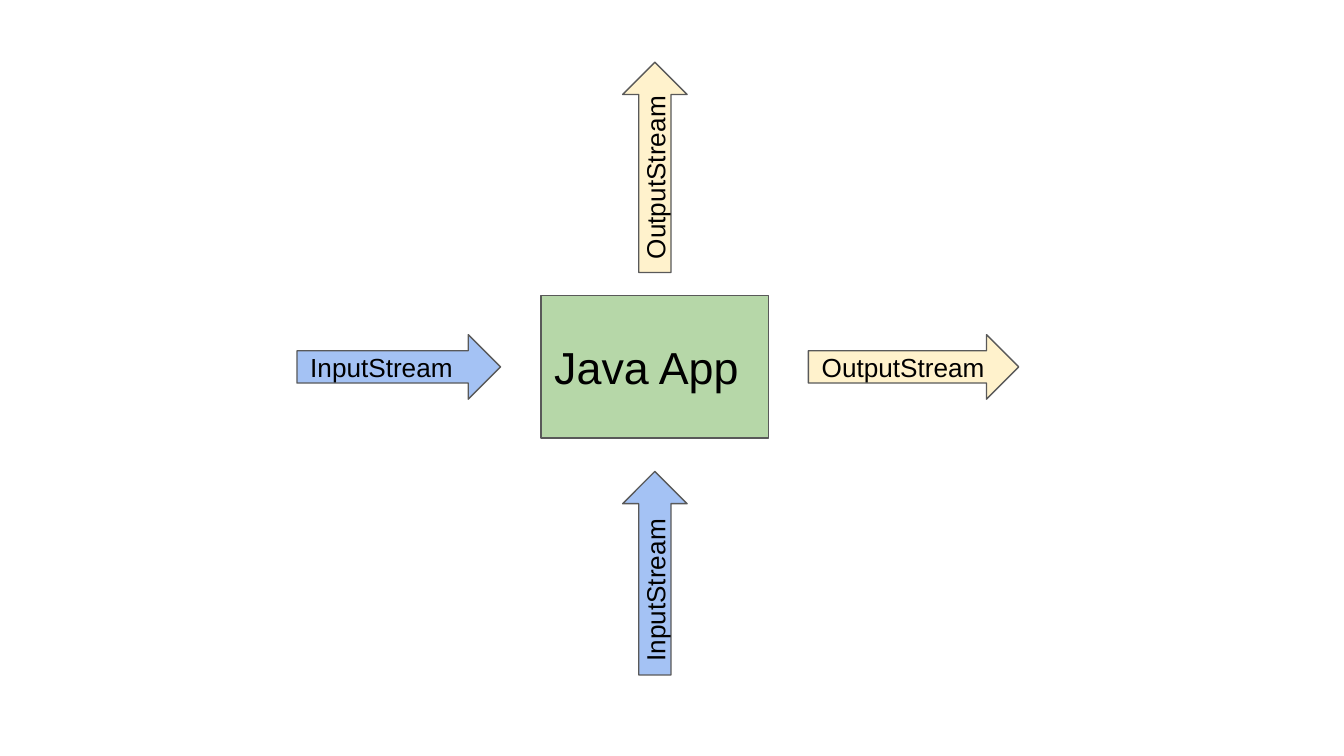
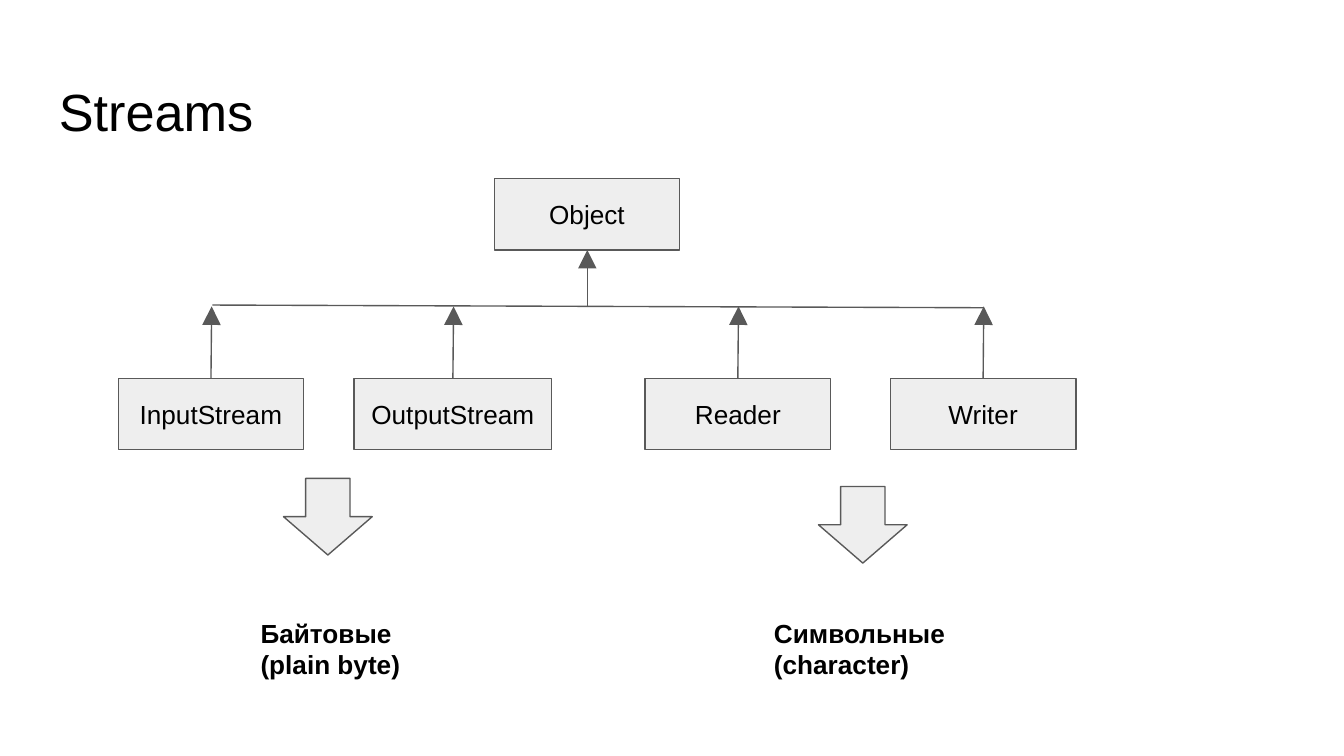
from dataclasses import dataclass

from lxml.etree import SubElement
from pptx import Presentation
from pptx.dml.color import RGBColor
from pptx.enum.shapes import MSO_CONNECTOR, MSO_SHAPE
from pptx.enum.text import MSO_ANCHOR, PP_ALIGN
from pptx.oxml.ns import qn
from pptx.util import Emu, Pt

PX = 4572  # 200 px to the inch


@dataclass(frozen=True)
class Theme:
    font: str = "Arial"
    text: str = "000000"
    outline: str = "595959"
    app: str = "B6D7A8"
    input: str = "A4C2F4"
    output: str = "FFF2CC"
    neutral: str = "EEEEEE"
    title_size: int = 28
    app_size: int = 24
    body_size: int = 14
    line_width: float = 0.75
    inset: int = 20


theme = Theme()


def write_text(shape, text, size=theme.body_size, bold=False,
               align=PP_ALIGN.LEFT, anchor=MSO_ANCHOR.MIDDLE):
    """Fill a shape with text, one paragraph for each line."""
    frame = shape.text_frame
    frame.word_wrap = True
    frame.vertical_anchor = anchor
    frame.margin_left = frame.margin_right = Emu(theme.inset * PX)
    frame.margin_top = frame.margin_bottom = Emu(theme.inset * PX)
    frame.text = text
    for paragraph in frame.paragraphs:
        paragraph.alignment = align
        for run in paragraph.runs:
            run.font.name = theme.font
            run.font.size = Pt(size)
            run.font.bold = bold
            run.font.color.rgb = RGBColor.from_string(theme.text)


def add_block(slide, kind, left, top, width, height, fill):
    """Add a filled, outlined preset shape."""
    shape = slide.shapes.add_shape(
        kind, *(Emu(value * PX) for value in (left, top, width, height)))
    shape.shadow.inherit = False
    shape.fill.solid()
    shape.fill.fore_color.rgb = RGBColor.from_string(fill)
    shape.line.color.rgb = RGBColor.from_string(theme.outline)
    shape.line.width = Pt(theme.line_width)
    return shape


presentation = Presentation()
presentation.slide_width = Emu(2000 * PX)
presentation.slide_height = Emu(1125 * PX)
blank_layout = presentation.slide_layouts[6]

# Slide 1: the application and its streams
slide = presentation.slides.add_slide(blank_layout)
app = add_block(slide, MSO_SHAPE.RECTANGLE, 805, 440, 339, 212, theme.app)
write_text(app, "Java App", size=theme.app_size)

for label, left, top, width, rotation, fill in (
    ("InputStream", 442, 498, 303, 0, theme.input),
    ("OutputStream", 1203, 498, 313, 0, theme.output),
    ("InputStream", 823, 805, 303, 270, theme.input),
    ("OutputStream", 818, 201, 313, 270, theme.output),
):
    arrow = add_block(slide, MSO_SHAPE.RIGHT_ARROW, left, top, width, 96, fill)
    arrow.rotation = rotation
    write_text(arrow, label)

# Slide 2: title
slide = presentation.slides.add_slide(blank_layout)
title = slide.shapes.add_textbox(
    Emu(68 * PX), Emu(98 * PX), Emu(1864 * PX), Emu(126 * PX))
write_text(title, "Streams", size=theme.title_size, anchor=MSO_ANCHOR.TOP)

# Class boxes
box_height = 106
parent_top, child_top = 266, 563
children = (
    ("InputStream", 176, 276),
    ("OutputStream", 527, 294),
    ("Reader", 960, 276),
    ("Writer", 1325, 276),
)
boxes = [("Object", 736, 275, parent_top)]
boxes += [(*child, child_top) for child in children]
for label, left, width, top in boxes:
    box = add_block(slide, MSO_SHAPE.RECTANGLE,
                    left, top, width, box_height, theme.neutral)
    write_text(box, label, align=PP_ALIGN.CENTER)

# Inheritance lines: the shared bar, then the arrows
lines = [
    (316, 454, 1464, 458, False),
    (874, 457, 874, parent_top + box_height, True),
]
for label, left, width in children:
    center = left + width // 2
    lines.append((center, child_top, center + 1, 456, True))

for *ends, has_arrow in lines:
    connector = slide.shapes.add_connector(
        MSO_CONNECTOR.STRAIGHT, *(Emu(value * PX) for value in ends))
    connector.line.color.rgb = RGBColor.from_string(theme.outline)
    connector.line.width = Pt(theme.line_width)
    if has_arrow:
        line_properties = connector._element.spPr.find(qn("a:ln"))
        SubElement(line_properties, qn("a:tailEnd"),
                   type="triangle", w="lg", len="lg")
    SubElement(connector._element.spPr, qn("a:effectLst"))

# Down arrows and the kind of data each pair of classes carries
for arrow_left, arrow_top, label, label_left, label_width in (
    (422, 712, "Байтовые (plain byte)", 368, 262),
    (1218, 724, "Символьные\n(character)", 1132, 304),
):
    add_block(slide, MSO_SHAPE.DOWN_ARROW,
              arrow_left, arrow_top, 132, 114, theme.neutral)
    caption = slide.shapes.add_textbox(
        Emu(label_left * PX), Emu(898 * PX), Emu(label_width * PX), Emu(96 * PX))
    write_text(caption, label, bold=True, anchor=MSO_ANCHOR.TOP)

presentation.save("out.pptx")
